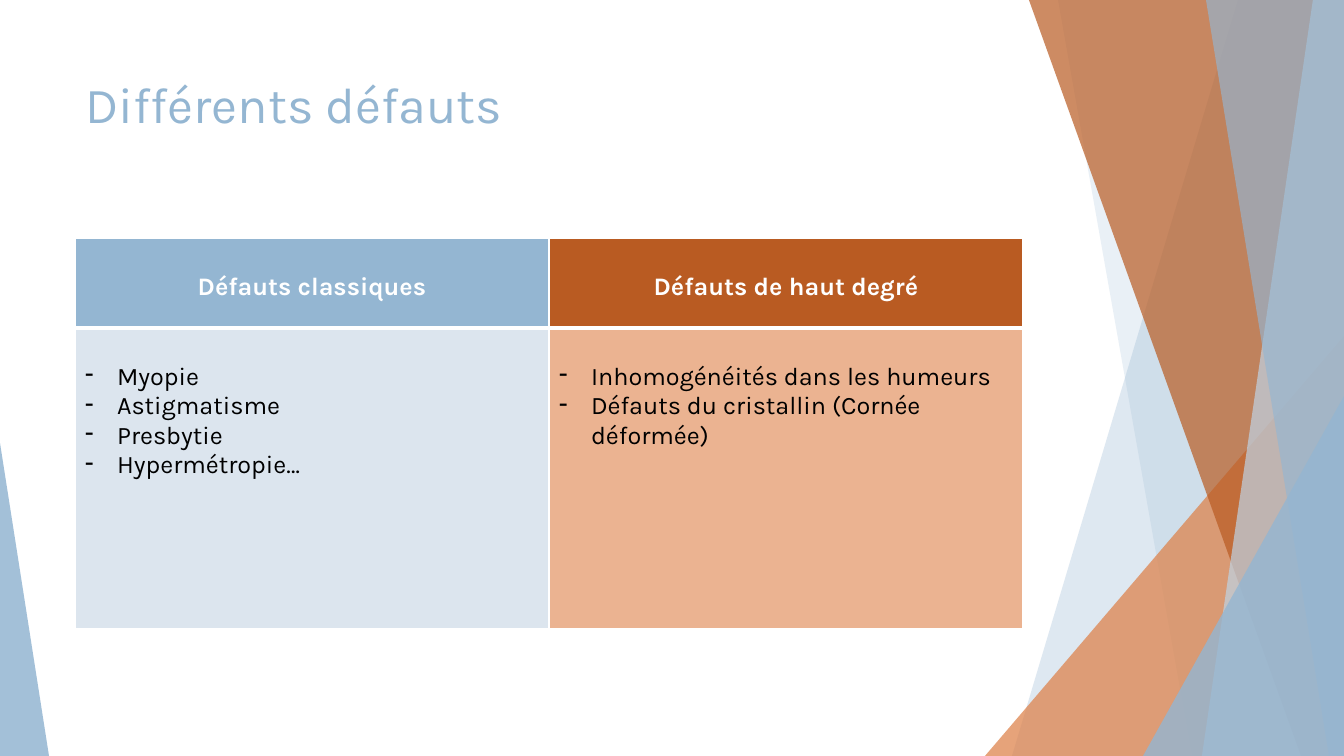
from lxml.etree import SubElement
from pptx import Presentation
from pptx.dml.color import RGBColor
from pptx.enum.shapes import MSO_SHAPE
from pptx.enum.text import MSO_ANCHOR, PP_ALIGN
from pptx.oxml.ns import qn
from pptx.util import Pt

WIDTH, HEIGHT = 1344, 756
SCALE = 12192000 / WIDTH  # EMU in one px
FONT = "Karla"
BLUE, BROWN, ORANGE, WHITE = "94B6D2", "B95B22", "DD8047", "FFFFFF"

COLUMNS = [
    ("Défauts classiques", BLUE, "DCE5EE",
     ["Myopie", "Astigmatisme", "Presbytie", "Hypermétropie…"]),
    ("Défauts de haut degré", BROWN, "EBB391",
     ["Inhomogénéités dans les humeurs",
      "Défauts du cristallin (Cornée déformée)"]),
]


def px(length):
    return round(length * SCALE)


def color(value):
    return RGBColor.from_string(value)


def set_font(para, size, value, bold=False):
    font = para.font
    font.name, font.size, font.bold = FONT, Pt(size), bold
    font.color.rgb = color(value)


# Background decoration
def paint(shape, value, opacity):
    shape.shadow.inherit = False
    shape.line.fill.background()
    shape.fill.solid()
    shape.fill.fore_color.rgb = color(value)
    srgb = shape.fill._xPr.find(".//" + qn("a:srgbClr"))
    SubElement(srgb, qn("a:alpha"), val=str(opacity * 1000))


def add_band(page, top_x, bottom_x, value, opacity):
    """Fill from a slanted left edge to the right side of the slide."""
    builder = page.shapes.build_freeform(top_x, 0, scale=SCALE)
    builder.add_line_segments(
        [(WIDTH, 0), (WIDTH, HEIGHT), (bottom_x, HEIGHT)], close=True)
    paint(builder.convert_to_shape(), value, opacity)


def add_corner(page, left, top, width, apex, value, opacity):
    """Right-angled triangle standing on the bottom of the slide."""
    shape = page.shapes.add_shape(
        MSO_SHAPE.ISOSCELES_TRIANGLE,
        px(left), px(top), px(width), px(HEIGHT - top))
    shape.adjustments[0] = apex
    paint(shape, value, opacity)


# Title
def place_title(page, text):
    title = page.shapes.title
    page.shapes._spTree.append(title._element)  # in front of the decoration
    title.left, title.top = px(75), px(68)
    title.width, title.height = px(947), px(145)
    frame = title.text_frame
    frame.text = text
    frame.vertical_anchor = MSO_ANCHOR.TOP
    para = frame.paragraphs[0]
    para.alignment = PP_ALIGN.LEFT
    set_font(para, 36, BLUE)


# Table
def set_borders(cell, bottom):
    properties = cell._tc.get_or_add_tcPr()
    for side, width in (("L", 1), ("R", 1), ("T", 1), ("B", bottom)):
        line = SubElement(properties, qn(f"a:ln{side}"), w=str(Pt(width)))
        fill = SubElement(line, qn("a:solidFill"))
        SubElement(fill, qn("a:srgbClr"), val=WHITE)


def add_dash(para):
    properties = para._p.get_or_add_pPr()
    properties.set("marL", str(px(32)))
    properties.set("indent", str(px(-32)))
    SubElement(properties, qn("a:buFontTx"))
    SubElement(properties, qn("a:buChar"), char="-")


def fill_cell(cell, lines, fill, is_header):
    set_borders(cell, 3 if is_header else 1)
    cell.fill.solid()
    cell.fill.fore_color.rgb = color(fill)
    cell.margin_top = px(34)
    cell.vertical_anchor = MSO_ANCHOR.TOP
    cell.text = "\n".join(lines)
    for para in cell.text_frame.paragraphs:
        if is_header:
            para.alignment = PP_ALIGN.CENTER
            set_font(para, 18, WHITE, bold=True)
        else:
            add_dash(para)
            set_font(para, 18, "000000")


def add_defects_table(page):
    table = page.shapes.add_table(
        2, len(COLUMNS), px(75), px(238), px(948), px(391)).table
    table.rows[0].height, table.rows[1].height = px(90), px(301)
    for index, (heading, head_fill, body_fill, items) in enumerate(COLUMNS):
        table.columns[index].width = px(474)
        fill_cell(table.cell(0, index), [heading], head_fill, True)
        fill_cell(table.cell(1, index), items, body_fill, False)


def main():
    deck = Presentation()
    deck.slide_width, deck.slide_height = px(WIDTH), px(HEIGHT)
    page = deck.slides.add_slide(deck.slide_layouts[5])

    # Decoration, from back to front
    add_band(page, 1238, 1012, BLUE, 30)
    add_band(page, 1058, 1192, BLUE, 20)
    add_corner(page, 985, 336, 359, 1, ORANGE, 72)
    add_band(page, 1029, 1301, BROWN, 70)
    add_band(page, 1313, 1202, "BFD3E4", 70)
    add_band(page, 1206, 1329, BLUE, 65)
    add_corner(page, 1143, 396, 201, 1, BLUE, 80)
    add_corner(page, 0, 443, 49, 0, BLUE, 85)

    place_title(page, "Différents défauts")
    add_defects_table(page)
    deck.save("out.pptx")


if __name__ == "__main__":
    main()
